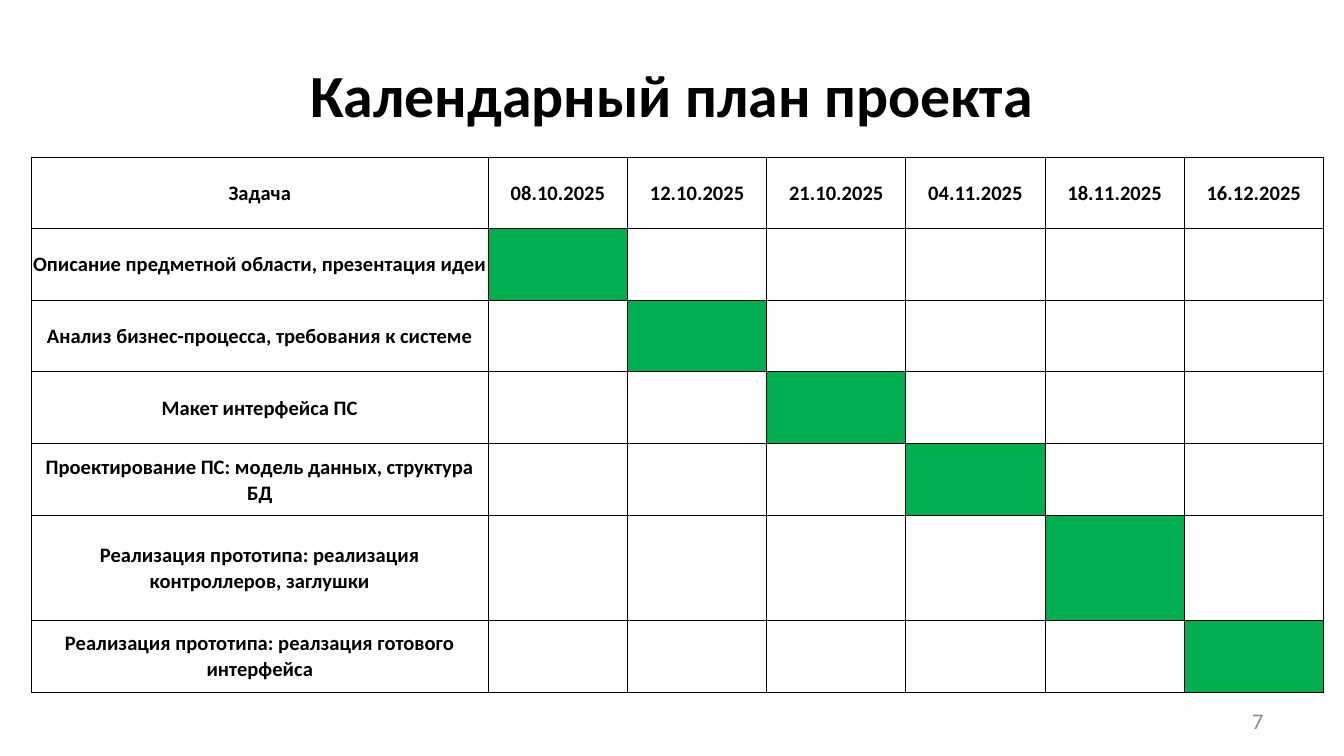
from dataclasses import dataclass

from lxml.etree import SubElement
from pptx import Presentation
from pptx.dml.color import RGBColor
from pptx.enum.text import MSO_ANCHOR as Anchor, PP_ALIGN as Align
from pptx.oxml.ns import qn
from pptx.util import Cm, Pt

FONT = "Calibri"
BLACK, GREY, GREEN = "000000", "8C8C8C", "00B050"
TASK_WIDTH, DATE_WIDTH = 8.64, 2.63
HEADER_HEIGHT = 1.34


@dataclass(frozen=True)
class Stage:
    task: str
    date: str
    height: float = 1.36


STAGES = [
    Stage("Описание предметной области, презентация идеи", "08.10.2025"),
    Stage("Анализ бизнес-процесса, требования к системе", "12.10.2025"),
    Stage("Макет интерфейса ПС", "21.10.2025"),
    Stage("Проектирование ПС: модель данных, структура БД", "04.11.2025"),
    Stage("Реализация прототипа: реализация контроллеров, заглушки", "18.11.2025", 1.97),
    Stage("Реализация прототипа: реалзация готового интерфейса", "16.12.2025"),
]


def rgb(color: str) -> RGBColor:
    return RGBColor.from_string(color)


def write(frame, text: str, size: float, color: str, align: Align, bold: bool = False) -> None:
    frame.text = text
    frame.word_wrap = True
    paragraph = frame.paragraphs[0]
    paragraph.alignment = align
    font = paragraph.runs[0].font
    font.name, font.size, font.bold = FONT, Pt(size), bold
    font.color.rgb = rgb(color)


def place(shape, left: float, top: float, width: float, height: float) -> None:
    shape.left, shape.top = Cm(left), Cm(top)
    shape.width, shape.height = Cm(width), Cm(height)
    shape.text_frame.vertical_anchor = Anchor.MIDDLE


def outline(cell) -> None:
    properties = cell._tc.get_or_add_tcPr()
    for side in ("lnL", "lnR", "lnT", "lnB"):
        border = SubElement(properties, qn(f"a:{side}"), w=str(Pt(0.5)))
        paint = SubElement(border, qn("a:solidFill"))
        SubElement(paint, qn("a:srgbClr"), val=BLACK)


def label(cell, text: str) -> None:
    cell.margin_left = cell.margin_right = cell.margin_top = Cm(0.02)
    cell.margin_bottom = 0
    cell.vertical_anchor = Anchor.MIDDLE
    write(cell.text_frame, text, 11, BLACK, Align.CENTER, bold=True)


def draw_schedule(slide, stages: list[Stage]) -> None:
    count = len(stages)
    heights = [HEADER_HEIGHT] + [stage.height for stage in stages]
    widths = [TASK_WIDTH] + [DATE_WIDTH] * count
    schedule = slide.shapes.add_table(
        count + 1, count + 1, Cm(0.59), Cm(2.97), Cm(sum(widths)), Cm(sum(heights))
    ).table
    schedule.first_row = schedule.horz_banding = False
    for row, height in zip(schedule.rows, heights):
        row.height = Cm(height)
    for column, width in zip(schedule.columns, widths):
        column.width = Cm(width)
    for cell in schedule.iter_cells():
        outline(cell)
        cell.fill.background()
    label(schedule.cell(0, 0), "Задача")
    for step, stage in enumerate(stages, start=1):
        label(schedule.cell(0, step), stage.date)
        label(schedule.cell(step, 0), stage.task)
        active = schedule.cell(step, step)
        active.fill.solid()
        active.fill.fore_color.rgb = rgb(GREEN)


def main() -> None:
    deck = Presentation()
    deck.slide_width, deck.slide_height = Cm(25.4), Cm(14.29)
    slide = deck.slides.add_slide(deck.slide_layouts[5])

    heading = slide.shapes.title
    place(heading, 1.27, 0.58, 22.86, 2.39)
    write(heading.text_frame, "Календарный план проекта", 32, BLACK, Align.CENTER, bold=True)

    page_number = slide.shapes.add_textbox(0, 0, 0, 0)
    place(page_number, 18.2, 13.24, 5.93, 0.76)
    write(page_number.text_frame, "7", 12, GREY, Align.RIGHT)

    draw_schedule(slide, STAGES)
    deck.save("out.pptx")


if __name__ == "__main__":
    main()
